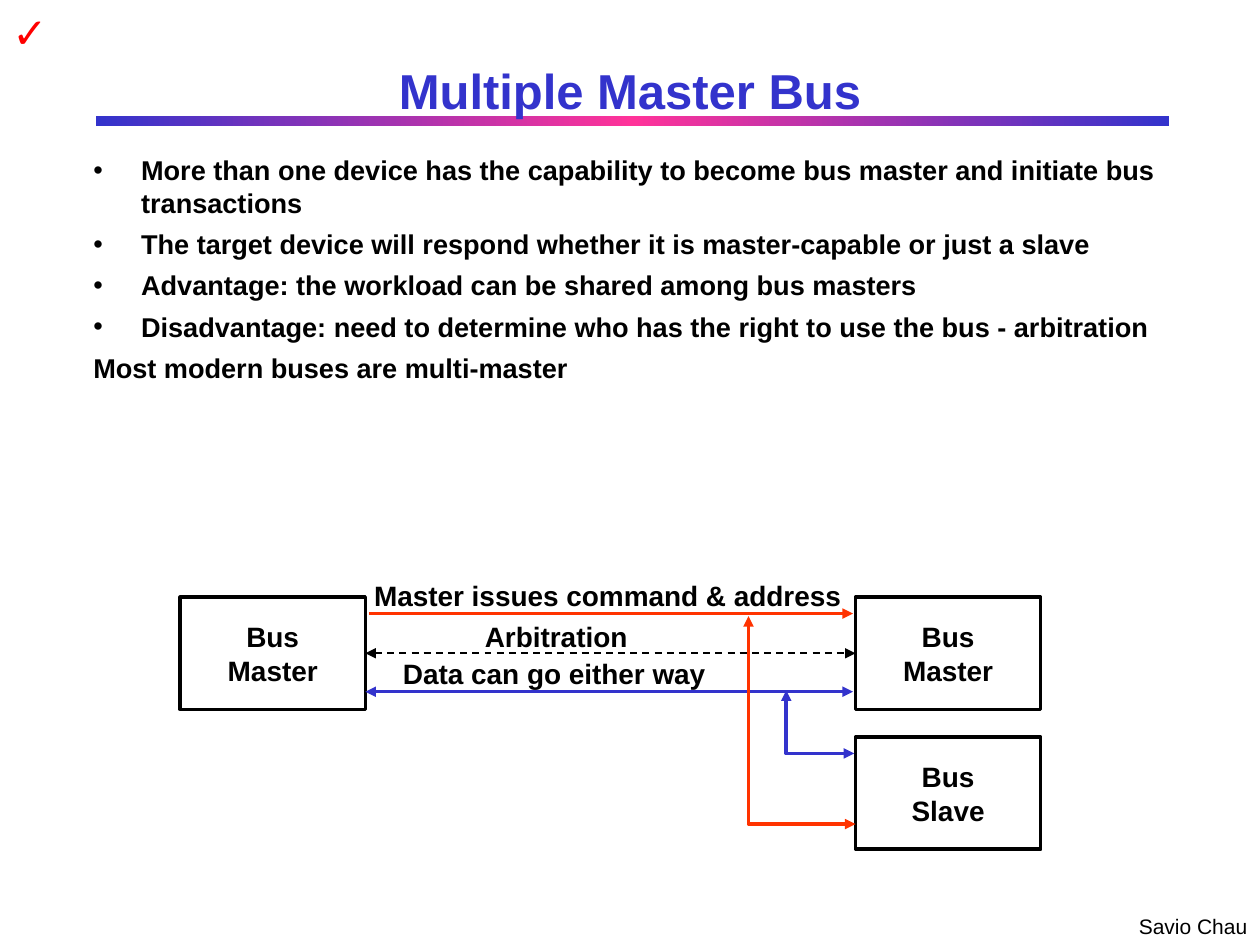
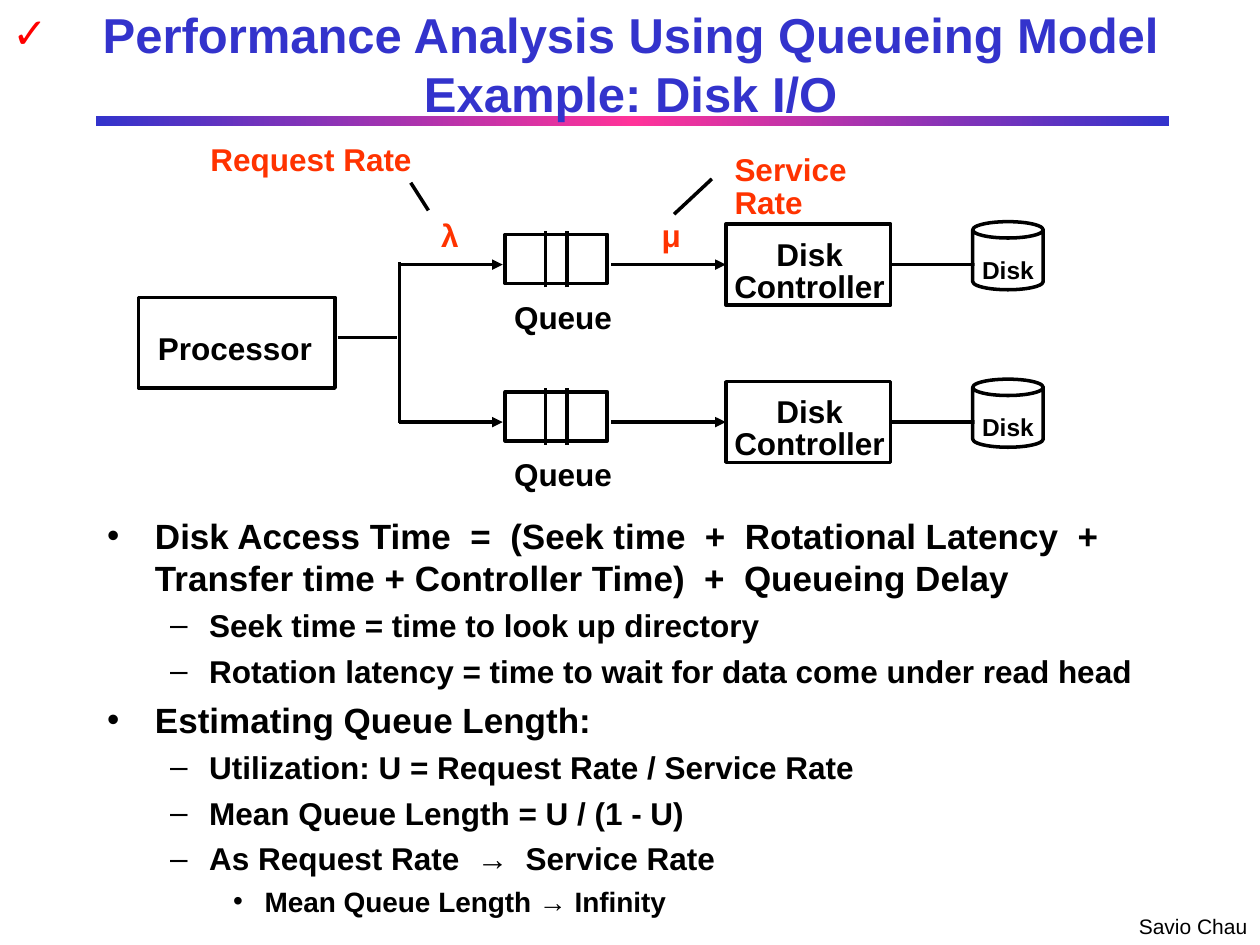
"""Build two lecture slides on bus masters and disk queueing."""
from copy import deepcopy
from dataclasses import dataclass

from lxml import etree
from pptx import Presentation
from pptx import util as u
from pptx.dml.color import RGBColor
from pptx.enum import dml, shapes, text
from pptx.oxml import ns

PX = 9144
FONT = "Arial"
BLACK, WHITE, BLUE = "000000", "FFFFFF", "3333CC"
PINK, ORANGE, RED = "FF3399", "FF3300", "FF0000"
CENTER, LEFT = text.PP_ALIGN.CENTER, text.PP_ALIGN.LEFT
MIDDLE, TOP = text.MSO_ANCHOR.MIDDLE, text.MSO_ANCHOR.TOP
WIDE_INSETS, TIGHT_INSETS = (10, 5, 10, 5), (7, 3, 7, 3)
RECT = shapes.MSO_SHAPE.RECTANGLE


@dataclass(frozen=True)
class Box:
    x: int
    y: int
    w: int
    h: int

    def emu(self) -> list[int]:
        return [px(v) for v in (self.x, self.y, self.w, self.h)]


@dataclass(frozen=True)
class Level:
    bullet: str
    margin: int
    hang: int
    before: float


@dataclass(frozen=True)
class Item:
    content: str
    size: float
    level: int = 0
    bulleted: bool = True


@dataclass(frozen=True)
class Label:
    content: str
    box: Box
    color: str = BLACK
    spacing: float = 0.85


LEVELS = (Level("•", 38, 38, 5), Level("–", 81, 31, 4.5), Level("•", 125, 25, 4))


def px(value: int) -> int:
    return value * PX


def rgb(color: str) -> RGBColor:
    return RGBColor.from_string(color)


def write(tf, content: str, *, size: float, color: str = BLACK, bold: bool = True,
          align=LEFT, spacing: float | None = None, anchor=TOP,
          insets=WIDE_INSETS, wrap: bool = False) -> None:
    tf.word_wrap = wrap
    tf.vertical_anchor = anchor
    tf.margin_left, tf.margin_top, tf.margin_right, tf.margin_bottom = map(px, insets)
    tf.text = content
    for p in tf.paragraphs:
        p.alignment = align
        p.line_spacing = spacing
        for r in p.runs:
            r.font.name, r.font.size, r.font.bold = FONT, u.Pt(size), bold
            r.font.color.rgb = rgb(color)


def add_text(s, content: str, box: Box, **fmt) -> None:
    tf = s.shapes.add_textbox(*box.emu()).text_frame
    write(tf, content, **fmt)
    tf.auto_size = text.MSO_AUTO_SIZE.SHAPE_TO_FIT_TEXT


def add_box(s, box: Box, content: str = "", kind=RECT, **fmt):
    sp = s.shapes.add_shape(kind, *box.emu())
    sp.shadow.inherit = False
    sp.fill.background()
    sp.line.color.rgb = rgb(BLACK)
    sp.line.width = u.Pt(2)
    if content:
        write(sp.text_frame, content, align=CENTER, anchor=MIDDLE, **fmt)
    return sp


def style_line(sp, color: str, width: float, head: bool, tail: bool,
               dashed: bool = False) -> None:
    sp.line.color.rgb = rgb(color)
    sp.line.width = u.Pt(width)
    if dashed:
        sp.line.dash_style = dml.MSO_LINE.DASH
    ln = sp.element.spPr.find(ns.qn("a:ln"))
    for tag, wanted in (("a:headEnd", head), ("a:tailEnd", tail)):
        if wanted:
            etree.SubElement(ln, ns.qn(tag), type="triangle")
    etree.SubElement(sp.element.spPr, ns.qn("a:effectLst"))


def add_line(s, x1: int, y1: int, x2: int, y2: int, *, color: str = BLACK,
             width: float = 2, head: bool = False, tail: bool = False,
             dashed: bool = False):
    line = s.shapes.add_connector(shapes.MSO_CONNECTOR.STRAIGHT,
                                  px(x1), px(y1), px(x2), px(y2))
    style_line(line, color, width, head, tail, dashed)
    return line


def add_elbow(s, points: list[tuple[int, int]], color: str) -> None:
    builder = s.shapes.build_freeform(*points[0], scale=PX)
    builder.add_line_segments(points[1:], close=False)
    sp = builder.convert_to_shape()
    sp.fill.background()
    style_line(sp, color, 2, True, True)


def place(ph, box: Box) -> None:
    ph.left, ph.top, ph.width, ph.height = box.emu()


def fill_body(ph, box: Box, items: list[Item]) -> None:
    place(ph, box)
    tf = ph.text_frame
    write(tf, "\n".join(i.content for i in items), size=items[0].size, wrap=True)
    tf.auto_size = text.MSO_AUTO_SIZE.NONE
    for p, item in zip(tf.paragraphs, items):
        level = LEVELS[item.level]
        p.level = item.level
        p.space_before = u.Pt(level.before)
        p.runs[0].font.size = u.Pt(item.size)
        pPr = p._p.get_or_add_pPr()
        pPr.set("marL", str(px(level.margin)))
        pPr.set("indent", str(-px(level.hang)))
        if item.bulleted:
            etree.SubElement(pPr, ns.qn("a:buChar"), char=level.bullet)
        else:
            etree.SubElement(pPr, ns.qn("a:buNone"))


def add_band(s) -> None:
    band = s.shapes.add_shape(RECT, *Box(76, 92, 852, 8).emu())
    band.shadow.inherit = False
    band.line.fill.background()
    band.fill.gradient()
    band.fill.gradient_angle = 0
    stops = band.element.spPr.find(".//" + ns.qn("a:gsLst"))
    stops.insert(1, deepcopy(stops[0]))
    for stop, position, color in zip(band.fill.gradient_stops, (0, 0.5, 1),
                                     (BLUE, PINK, BLUE)):
        stop.position = position
        stop.color.rgb = rgb(color)
    band.element.getparent().insert(2, band.element)


def new_slide(prs, title: str, title_box: Box, body_box: Box, items: list[Item]):
    s = prs.slides.add_slide(prs.slide_layouts[1])
    place(s.shapes.title, title_box)
    tf = s.shapes.title.text_frame
    write(tf, title, size=28, color=BLUE, align=CENTER, anchor=MIDDLE, wrap=True)
    tf.auto_size = text.MSO_AUTO_SIZE.NONE
    fill_body(s.placeholders[1], body_box, items)
    add_band(s)
    add_text(s, "Savio Chau", Box(894, 720, 106, 30), size=12, bold=False)
    add_text(s, "✓", Box(0, 0, 47, 50), size=24, color=RED)
    return s


def build_bus_slide(prs) -> None:
    s = new_slide(prs, "Multiple Master Bus", Box(75, 42, 850, 58), Box(64, 117, 873, 229), [
        Item("More than one device has the capability to become bus master "
             "and initiate bus transactions", 15.5),
        Item("The target device will respond whether it is master-capable or just a slave", 15.5),
        Item("Advantage: the workload can be shared among bus masters", 15.5),
        Item("Disadvantage: need to determine who has the right to use the bus - arbitration", 15.5),
        Item("Most modern buses are multi-master", 15.5, bulleted=False),
    ])
    left, right, _ = [add_box(s, Box(x, y, 147, 89), name, size=16) for name, x, y in (
        ("Bus\nMaster", 143, 474), ("Bus\nMaster", 679, 474), ("Bus\nSlave", 679, 585))]
    add_line(s, 293, 487, 677, 487, color=ORANGE, tail=True)
    add_line(s, 677, 549, 290, 549, color=BLUE, head=True, tail=True)
    arbitration = add_line(s, 290, 519, 678, 519, width=1, head=True, tail=True, dashed=True)
    arbitration.begin_connect(left, 3)
    arbitration.end_connect(right, 1)
    add_elbow(s, [(624, 548), (624, 598), (678, 598)], BLUE)
    add_elbow(s, [(594, 489), (594, 654), (679, 654)], ORANGE)
    for content, box in (
        ("Master issues command & address", Box(287, 454, 391, 36)),
        ("Arbitration", Box(375, 487, 133, 36)),
        ("Data can go either way", Box(310, 516, 260, 36)),
    ):
        add_text(s, content, box, size=16)


def add_disk_lane(s, y: int) -> None:
    """Draw one queue, controller and disk along the wire at height y."""
    add_box(s, Box(401, y - 24, 81, 39))
    for x in (433, 450):
        add_line(s, x, y + 18, x, y - 27)
    add_text(s, "Queue", Box(401, y + 28, 92, 31), size=18, spacing=0.85, insets=TIGHT_INSETS)
    controller = add_box(s, Box(576, y - 32, 131, 64), "Disk\nController", size=18,
                         spacing=0.85, insets=(7, 16, 5, 3))
    add_line(s, 317, y, 399, y, tail=True)
    add_line(s, 485, y, 574, y, tail=True).end_connect(controller, 1)
    add_line(s, 710, y, 774, y).begin_connect(controller, 3)
    disk = add_box(s, Box(772, y - 34, 56, 54), "Disk", shapes.MSO_SHAPE.CAN,
                   size=14, insets=(10, 20, 10, 5))
    disk.adjustments[0] = 0.24
    disk.fill.solid()
    disk.fill.fore_color.rgb = rgb(WHITE)
    white = disk.element.spPr.find(ns.qn("a:solidFill"))[0]
    etree.SubElement(white, ns.qn("a:alpha"), val="50000")


def build_queue_slide(prs) -> None:
    s = new_slide(prs, "Performance Analysis Using Queueing Model Example: Disk I/O",
                  Box(39, 0, 923, 100), Box(75, 403, 850, 327), [
        Item("Disk Access Time  =  (Seek time  +  Rotational Latency  + "
             "Transfer time + Controller Time)  +  Queueing Delay", 20),
        Item("Seek time = time to look up directory", 18, 1),
        Item("Rotation latency = time to wait for data come under read head", 18, 1),
        Item("Estimating Queue Length:", 20),
        Item("Utilization: U = Request Rate / Service Rate", 18, 1),
        Item("Mean Queue Length = U / (1 - U)", 18, 1),
        Item("As Request Rate  →  Service Rate", 18, 1),
        Item("Mean Queue Length → Infinity", 16, 2),
    ])
    add_box(s, Box(110, 236, 156, 72), "Processor", size=18, spacing=0.85,
            insets=(7, 16, 10, 3))
    add_line(s, 268, 268, 315, 268)
    add_line(s, 317, 208, 317, 336)
    for y in (210, 335):
        add_disk_lane(s, y)
    for label in (
        Label("Request Rate", Box(160, 113, 174, 31), ORANGE),
        Label("Service Rate", Box(576, 121, 164, 31), ORANGE),
        Label("λ", Box(343, 165, 28, 39), ORANGE, 1.11),
        Label("μ", Box(518, 165, 28, 39), ORANGE, 1.11),
    ):
        add_text(s, label.content, label.box, size=18, color=label.color,
                 spacing=label.spacing, insets=TIGHT_INSETS)
    add_line(s, 326, 145, 340, 167)
    add_line(s, 535, 170, 565, 142)


def main() -> None:
    prs = Presentation()
    prs.slide_width, prs.slide_height = px(1000), px(750)
    build_bus_slide(prs)
    build_queue_slide(prs)
    prs.save("out.pptx")


if __name__ == "__main__":
    main()
